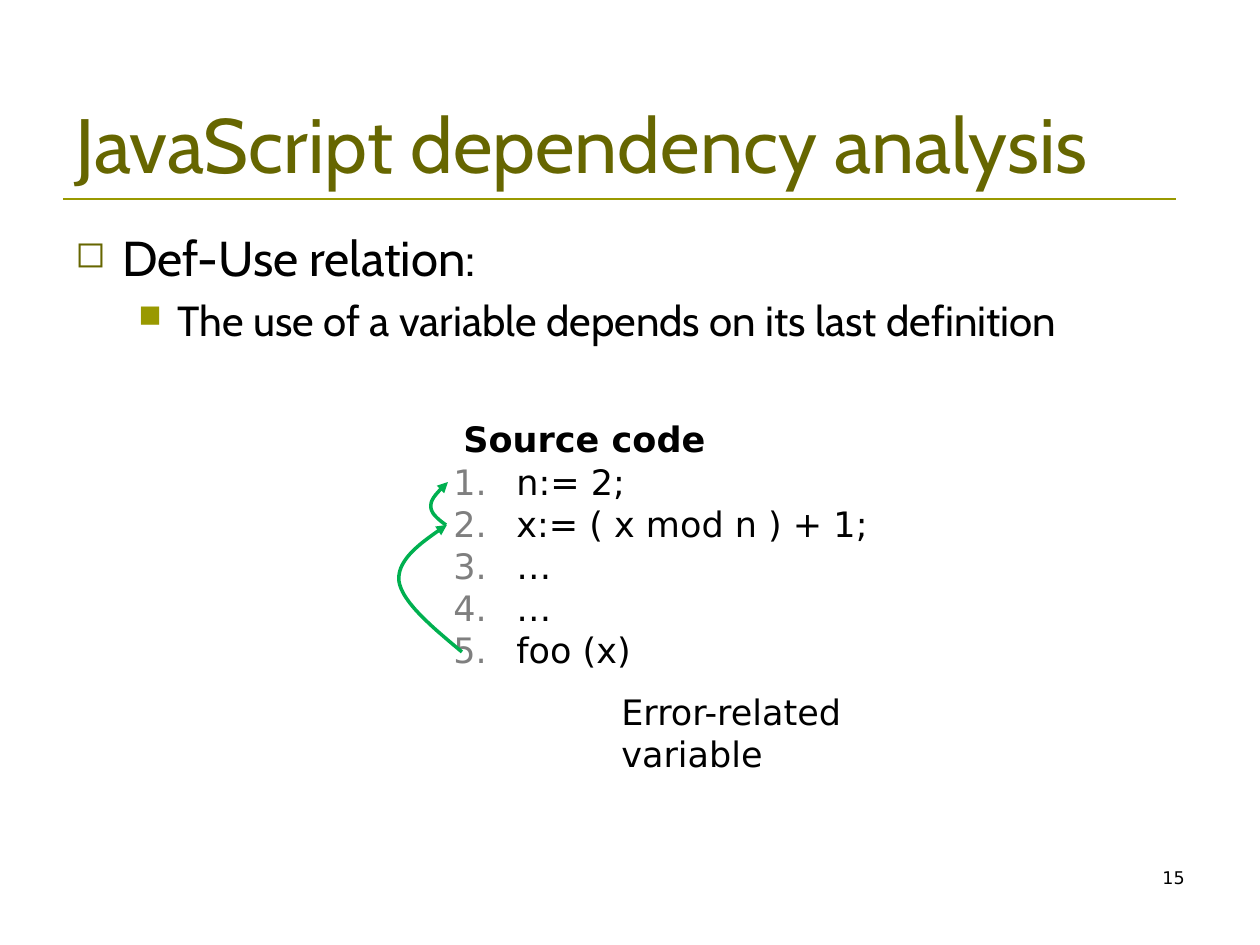
from lxml import etree
from pptx import Presentation
from pptx.dml.color import RGBColor
from pptx.enum.shapes import MSO_CONNECTOR
from pptx.enum.text import MSO_ANCHOR, PP_ALIGN
from pptx.oxml.ns import qn
from pptx.util import Pt

PX = 914400 / 126
STRAIGHT = MSO_CONNECTOR.STRAIGHT
TOP, BOTTOM = MSO_ANCHOR.TOP, MSO_ANCHOR.BOTTOM
LEFT, RIGHT = PP_ALIGN.LEFT, PP_ALIGN.RIGHT

COLORS = {"title": "666600", "rule": "999900", "text": "000000",
          "number": "7F7F7F", "arrow": "00B050"}
HEAD, BODY = "Cabin", "DejaVu Sans"
CURVE_STEPS = 24

# Bullets: margin and hanging indent in px, colour, size in %, character (None = numbered)
OUTER = (47, 47, "title", 75, "◻")
INNER = (102, 39, "rule", 75, "■")
NUMBERED = (63, 63, "number", 100, None)

CODE = ["n:= 2;", "x:= ( x mod n ) + 1;", "…", "…", "foo (x)"]

# box in px, font, colour, anchor, alignment, paragraphs of (text, size, bold, bullet, space before)
TEXTS = [
    ((63, 38, 1134, 157), HEAD, "title", BOTTOM, LEFT,
     [("JavaScript dependency analysis", 44, False, None, 0)]),
    ((63, 221, 1166, 624), HEAD, "text", TOP, LEFT,
     [("Def-Use relation:", 28, False, OUTER, 0),
      ("The use of a variable depends on its last definition", 24, False, INNER, 5)]),
    ((903, 861, 294, 63), BODY, "text", TOP, RIGHT, [("15", 10, False, None, 0)]),
    ((441, 454, 514, 224), BODY, "text", TOP, LEFT,
     [(line, 20, False, NUMBERED, 0) for line in CODE]),
    ((451, 411, 347, 55), BODY, "text", TOP, LEFT, [("Source code", 20, True, None, 0)]),
    ((609, 684, 300, 97), BODY, "text", TOP, LEFT,
     [("Error-related variable", 20, False, None, 0)]),
]

RULE = (63, 199, 1176, 199)

# Each arrow is a chain of cubic curves: start, then two controls and an end per curve
ARROWS = [
    [(462, 652), (432, 627), (402, 602), (399, 581), (397, 559), (422, 542), (447, 525)],
    [(446, 525), (438, 519), (430, 513), (431, 505), (431, 498), (440, 490), (448, 482)],
]


def emu(px):
    return round(px * PX)


def color(name):
    return RGBColor.from_string(COLORS[name])


def add_bullet(p, bullet):
    margin, hang, tint, size, char = bullet
    pPr = p._p.get_or_add_pPr()
    pPr.set("marL", str(emu(margin)))
    pPr.set("indent", str(-emu(hang)))
    clr = etree.SubElement(pPr, qn("a:buClr"))
    etree.SubElement(clr, qn("a:srgbClr"), val=COLORS[tint])
    etree.SubElement(pPr, qn("a:buSzPct"), val=str(size * 1000))
    if char:
        etree.SubElement(pPr, qn("a:buChar"), char=char)
    else:
        etree.SubElement(pPr, qn("a:buAutoNum"), type="arabicPeriod")


def add_text(s, box, font, tint, anchor, align, paragraphs):
    tf = s.shapes.add_textbox(*map(emu, box)).text_frame
    tf.word_wrap = True
    tf.vertical_anchor = anchor
    for i, (text, size, bold, bullet, before) in enumerate(paragraphs):
        p = tf.add_paragraph() if i else tf.paragraphs[0]
        if bullet:
            add_bullet(p, bullet)
        p.alignment = align
        if before:
            p.space_before = Pt(before)
        r = p.add_run()
        r.text = text
        for name, value in {"name": font, "size": Pt(size), "bold": bold}.items():
            setattr(r.font, name, value)
        r.font.color.rgb = color(tint)


def add_rule(s):
    line = s.shapes.add_connector(STRAIGHT, *map(emu, RULE))
    line.line.color.rgb = color("rule")
    line.line.width = Pt(1.5)
    etree.SubElement(line._element.spPr, qn("a:effectLst"))


def curve_points(knots):
    """Sample the chained cubic curves into EMU points."""
    points = [knots[0]]
    for k in range(0, len(knots) - 1, 3):
        curve = knots[k:k + 4]
        for step in range(1, CURVE_STEPS + 1):
            t = step / CURVE_STEPS
            weights = ((1 - t) ** 3, 3 * t * (1 - t) ** 2, 3 * t * t * (1 - t), t ** 3)
            points.append([sum(w * c for w, c in zip(weights, axis)) for axis in zip(*curve)])
    return [(emu(x), emu(y)) for x, y in points]


def add_arrow(s, knots):
    start, *rest = curve_points(knots)
    builder = s.shapes.build_freeform(*start)
    builder.add_line_segments(rest, close=False)
    arrow = builder.convert_to_shape()
    arrow.shadow.inherit = False
    arrow.fill.background()
    arrow.line.color.rgb = color("arrow")
    arrow.line.width = Pt(2)
    ln = arrow.line._get_or_add_ln()
    etree.SubElement(ln, qn("a:round"))
    etree.SubElement(ln, qn("a:tailEnd"), type="triangle")


def main():
    prs = Presentation()
    prs.slide_width, prs.slide_height = emu(1260), emu(945)
    s = prs.slides.add_slide(prs.slide_layouts[6])
    add_rule(s)
    for text in TEXTS:
        add_text(s, *text)
    for knots in ARROWS:
        add_arrow(s, knots)
    prs.save("out.pptx")


if __name__ == "__main__":
    main()
